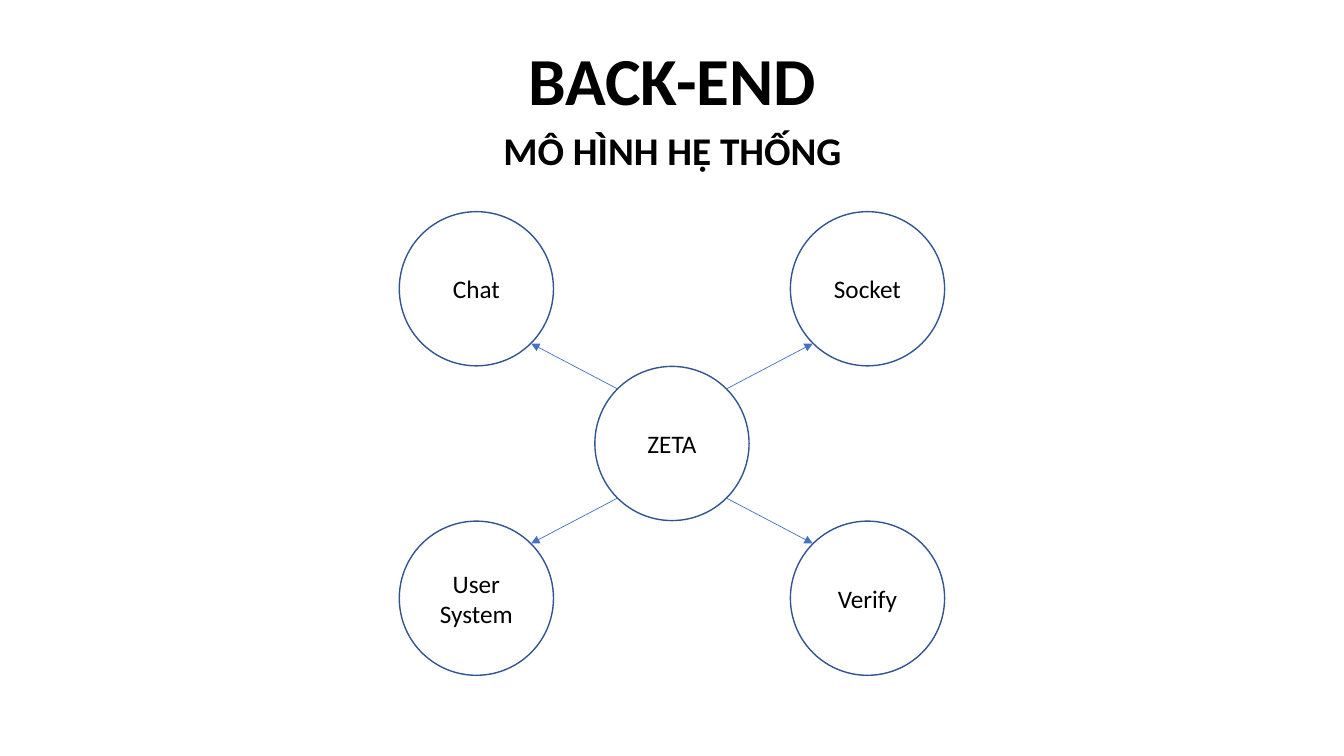
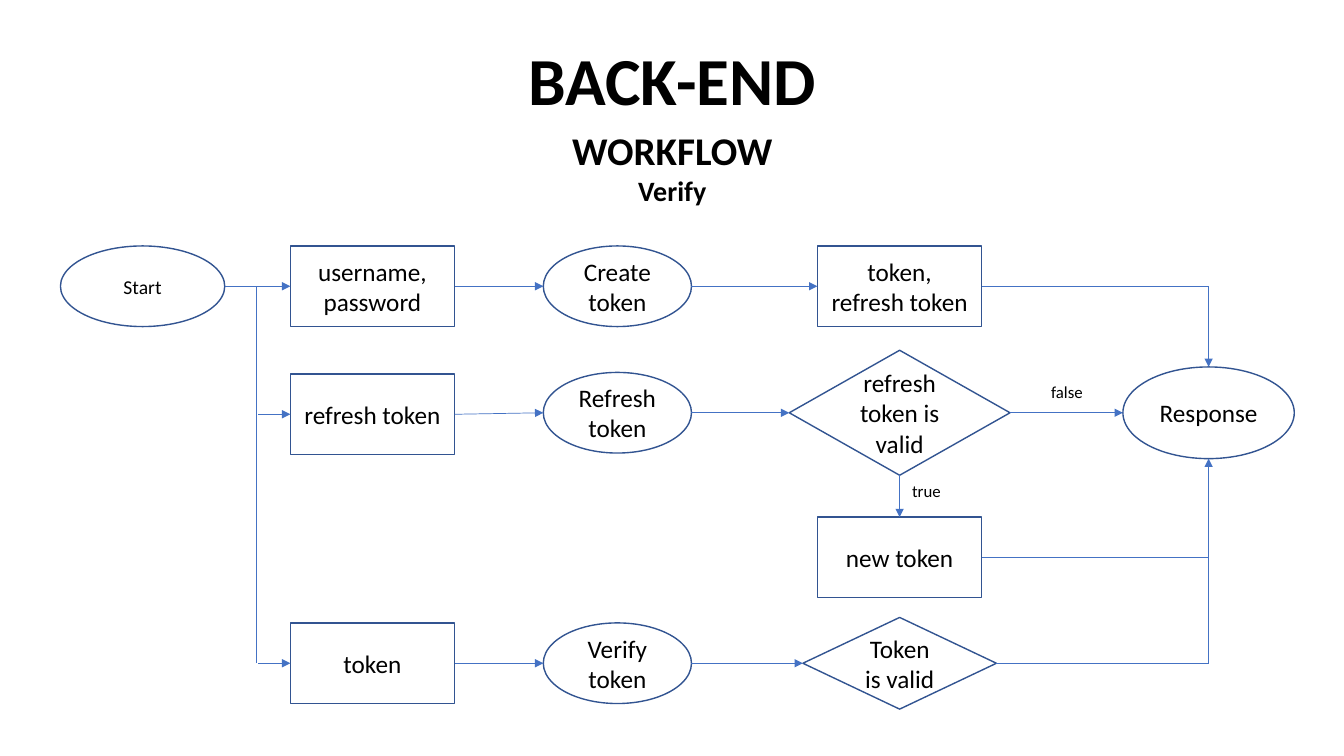
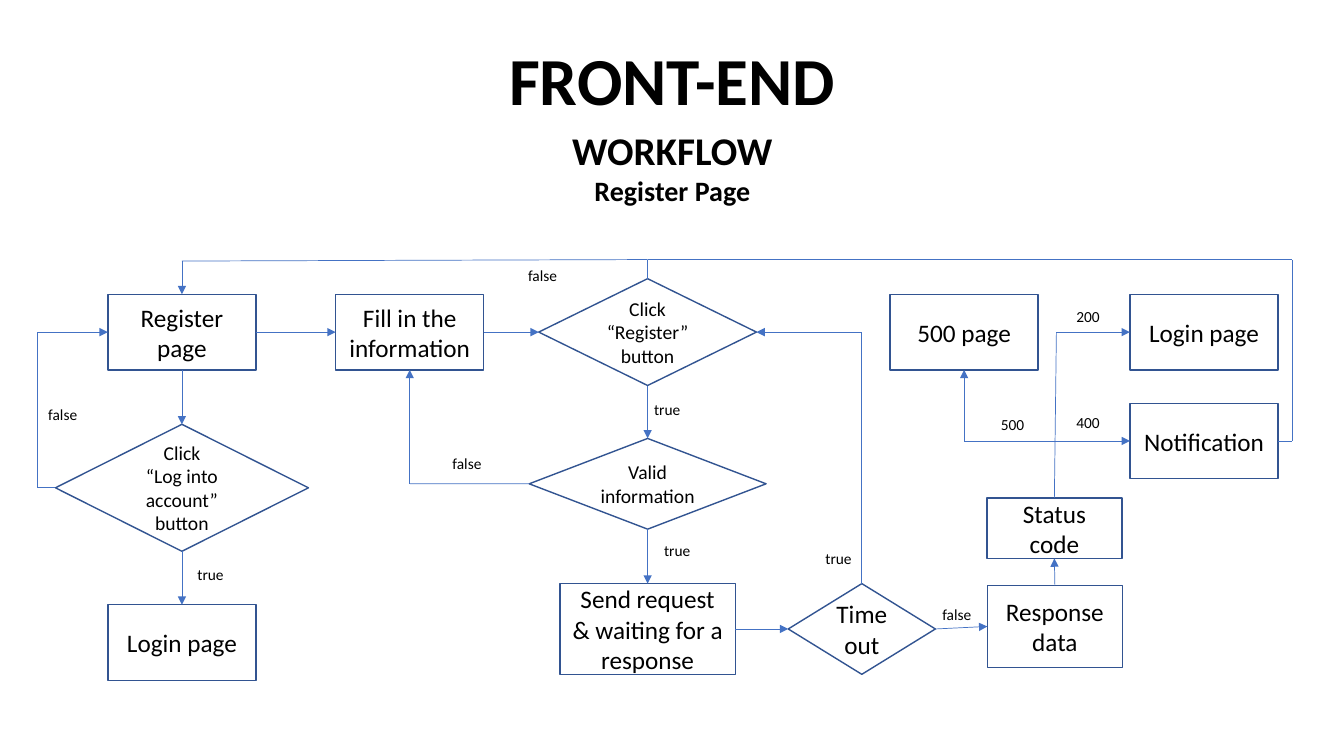
import itertools
import pptx
import pptx.dml.color
import pptx.enum.shapes
import pptx.enum.text
import pptx.oxml
import pptx.oxml.ns
import pptx.util

KIND = pptx.enum.shapes.MSO_SHAPE
RECT, OVAL, RHOMB = KIND.RECTANGLE, KIND.OVAL, KIND.DIAMOND
ALIGN = pptx.enum.text.PP_ALIGN
TOP, LEFT, LOW, RIGHT = range(4)
COLS, ROWS = 133.33, 75


def cell(count):
    """Length of a number of grid cells, ten to the inch."""
    return pptx.util.Inches(count / 10)


def hue(code):
    return pptx.dml.color.RGBColor.from_string(code)


def mark(parent, tag, **attrs):
    """Append an empty drawing element."""
    node = pptx.oxml.parse_xml(f"<a:{tag} {pptx.oxml.ns.nsdecls('a')}/>")
    for key, value in attrs.items():
        node.set(key, value)
    parent.append(node)


def spot(node, side):
    """Grid point at the middle of one side of a node."""
    across = (0.5, 0, 0.5, 1)[side]
    down = (0, 0.5, 1, 0.5)[side]
    unit = cell(1)
    return (node.left + across * node.width) / unit, (node.top + down * node.height) / unit


def plain(stop):
    """Whether a stop is a grid point, not a node and its side."""
    return isinstance(stop[0], (int, float))


class Deck:
    font, ink, edge, wire_ink = "Calibri", "000000", "325491", "4472C4"

    def __init__(self):
        self.show = pptx.Presentation()
        self.show.slide_width, self.show.slide_height = cell(COLS), cell(ROWS)

    def page(self, title, *heads):
        self.slide = self.show.slides.add_slide(self.show.slide_layouts[6])
        self.label([(title, 48)], 5.2, 3.3, 123, 9.1, ALIGN.CENTER, True)
        self.label(list(zip(heads, (28, 20))), 31, 12, 71.4, 5.7 if len(heads) == 1 else 9.1,
                   ALIGN.CENTER, True)

    def words(self, frame, lines, align, bold=False):
        frame.word_wrap = True
        for row, (text, size) in enumerate(lines):
            para = frame.add_paragraph() if row else frame.paragraphs[0]
            para.alignment = align
            run = para.add_run()
            run.text = text
            run.font.name, run.font.size = self.font, pptx.util.Pt(size)
            run.font.bold = bold
            run.font.color.rgb = hue(self.ink)

    def label(self, lines, x, y, w, h, align=ALIGN.LEFT, bold=False):
        box = self.slide.shapes.add_textbox(cell(x), cell(y), cell(w), cell(h))
        self.words(box.text_frame, lines, align, bold)

    def node(self, kind, text, mid, w, h, size=18):
        """Outlined shape centred on the grid point mid."""
        x, y = mid
        shape = self.slide.shapes.add_shape(
            kind, cell(x - w / 2), cell(y - h / 2), cell(w), cell(h))
        shape.shadow.inherit = False
        shape.fill.background()
        shape.line.color.rgb = hue(self.edge)
        shape.line.width = pptx.util.Pt(1)
        shape.text_frame.vertical_anchor = pptx.enum.text.MSO_ANCHOR.MIDDLE
        self.words(shape.text_frame, [(line, size) for line in text.split("\n")], ALIGN.CENTER)
        return shape

    def wire(self, *stops, head=True):
        """Run straight lines through stops: (x, y) points or (node, side) pairs."""
        points = [s if plain(s) else spot(*s) for s in stops]
        for i, (start, end) in enumerate(itertools.pairwise(points)):
            line = self.slide.shapes.add_connector(
                pptx.enum.shapes.MSO_CONNECTOR.STRAIGHT, *map(cell, start + end))
            for link, stop in ((line.begin_connect, stops[i]), (line.end_connect, stops[i + 1])):
                if not plain(stop) and stop[0].auto_shape_type != OVAL:
                    link(*stop)
            line.line.color.rgb = hue(self.wire_ink)
            line.line.width = pptx.util.Pt(0.5)
            props = line._element.spPr
            if head and i == len(points) - 2:
                mark(props.find(pptx.oxml.ns.qn("a:ln")), "tailEnd", type="triangle")
            mark(props, "effectLst")

    def chain(self, *nodes):
        """Join nodes left to right with arrows."""
        for a, b in itertools.pairwise(nodes):
            self.wire((a, RIGHT), (b, LEFT))

    def drop(self, *nodes):
        """Join nodes downwards with arrows."""
        for a, b in itertools.pairwise(nodes):
            self.wire((a, LOW), (b, TOP))


def model(deck):
    deck.page("BACK-END", "MÔ HÌNH HỆ THỐNG")
    x, y, size = COLS / 2, 44, 15.3
    rim = size / 2 * 0.71
    deck.node(OVAL, "ZETA", (x, y), size, size)
    for text, h, v in (("Chat", -1, -1), ("Verify", 1, 1), ("Socket", 1, -1), ("User System", -1, 1)):
        far = x + h * 19.4, y + v * 15.35
        deck.node(OVAL, text, far, size, size)
        deck.wire((x + h * rim, y + v * rim), (far[0] - h * rim, far[1] - v * rim))


def verify(deck):
    deck.page("BACK-END", "WORKFLOW", "Verify")
    first, second, third, last = 28.4, 40.95, 55.3, 65.8
    given, act, result, trunk = 36.95, 61.25, 89.25, 25.4
    wide, tall = 16.3, 8

    start = deck.node(OVAL, "Start", (14.15, first), wide, tall, 14)
    user, renew, token = [deck.node(RECT, text, (given, y), wide, tall) for text, y in (
        ("username, password", first), ("refresh token", 41.1), ("token", last))]
    make, again, check = [deck.node(OVAL, text, (act, y), 14.7, tall) for text, y in (
        ("Create token", first), ("Refresh token", second), ("Verify token", last))]
    pair, fresh = [deck.node(RECT, text, (result, y), wide, tall) for text, y in (
        ("token,\nrefresh token", first), ("new token", third))]
    live = deck.node(RHOMB, "refresh token is valid", (result, second), 21.9, 12.4)
    valid = deck.node(RHOMB, "Token is valid", (result, last), 19.2, 9.1)
    reply = deck.node(OVAL, "Response", (119.9, second), 17, 9.1)

    deck.chain(start, user, make, pair)
    deck.chain(renew, again, live, reply)
    deck.chain(token, check, valid)
    deck.drop(live, fresh)
    deck.wire((trunk, first), (trunk, last), head=False)
    for box in (renew, token):
        deck.wire((trunk + 0.2, spot(box, LEFT)[1]), (box, LEFT))
    end = spot(reply, TOP)[0]
    deck.wire((pair, RIGHT), (end, first), (reply, TOP))
    deck.wire((fresh, RIGHT), (end, third), (reply, LOW))
    deck.wire((valid, RIGHT), (end, last), (end, third), head=False)
    for text, x, y in (("true", 89.5, 47.2), ("false", 103.3, 37.4)):
        deck.label([(text, 12)], x, y, 13.6, 3)


def register(deck):
    deck.page("FRONT-END", "WORKFLOW", "Register Page")
    row, left, mid, right = 32.95, 18.05, 64.25, 119.45
    note_y, low, roof = 43.75, 62.4, 25.75

    join, login, fill, fail, home, note = [
        deck.node(RECT, text, at, 14.7, 7.5) for text, at in (
            ("Register page", (left, row)), ("Login page", (left, 63.75)),
            ("Fill in the information", (40.65, row)), ("500 page", (95.65, row)),
            ("Login page", (right, row)), ("Notification", (right, note_y)))]
    enter = deck.node(RHOMB, "Click\n“Log into account” button", (left, 48.4), 25.1, 12.6, 14)
    click = deck.node(RHOMB, "Click “Register” button", (mid, row), 21.6, 10.6, 14)
    valid = deck.node(RHOMB, "Valid information", (mid, 48), 23.5, 9, 14)
    send = deck.node(RECT, "Send request & waiting for a response", (mid, low), 17.4, 9)
    late = deck.node(RHOMB, "Time out", (85.5, low), 14.6, 9)
    data = deck.node(RECT, "Response data", (104.65, 62.15), 13.4, 8.1)
    code = deck.node(RECT, "Status code", (104.6, 52.4), 13.4, 6)

    deck.chain(join, fill, click)
    deck.chain(send, late, data)
    deck.drop(join, enter, login)
    deck.drop(click, valid, send)
    deck.wire((data, TOP), (code, LOW))
    deck.wire((enter, LEFT), (3.7, 48.4), (3.7, row), (join, LEFT))
    deck.wire((valid, LEFT), (40.65, 48), (fill, LOW))
    deck.wire((late, TOP), (85.5, row), (click, RIGHT))
    deck.wire((click, TOP), (mid, roof), (left, 25.9), (join, TOP))
    deck.wire((note, RIGHT), (128.2, note_y), (128.2, roof), (mid, roof), head=False)
    deck.wire((code, TOP), (104.8, row), (home, LEFT))
    deck.wire((104.7, note_y), (note, LEFT))
    deck.wire((104.7, note_y), (95.65, note_y), (fail, LOW))

    for text, x, y in (
            ("false", 43.9, 44.6), ("false", 3.8, 39.7), ("true", 18.6, 55.6),
            ("true", 63.9, 39.2), ("true", 64.9, 53.2), ("false", 51.4, 25.9),
            ("true", 80.9, 54), ("false", 92.5, 59.5), ("200", 105.8, 30),
            ("400", 105.8, 40.5), ("500", 98.3, 40.7)):
        deck.label([(text, 11)], x, y, 6.3, 2.9)


def main():
    deck = Deck()
    for build in (model, verify, register):
        build(deck)
    deck.show.save("out.pptx")


if __name__ == "__main__":
    main()
